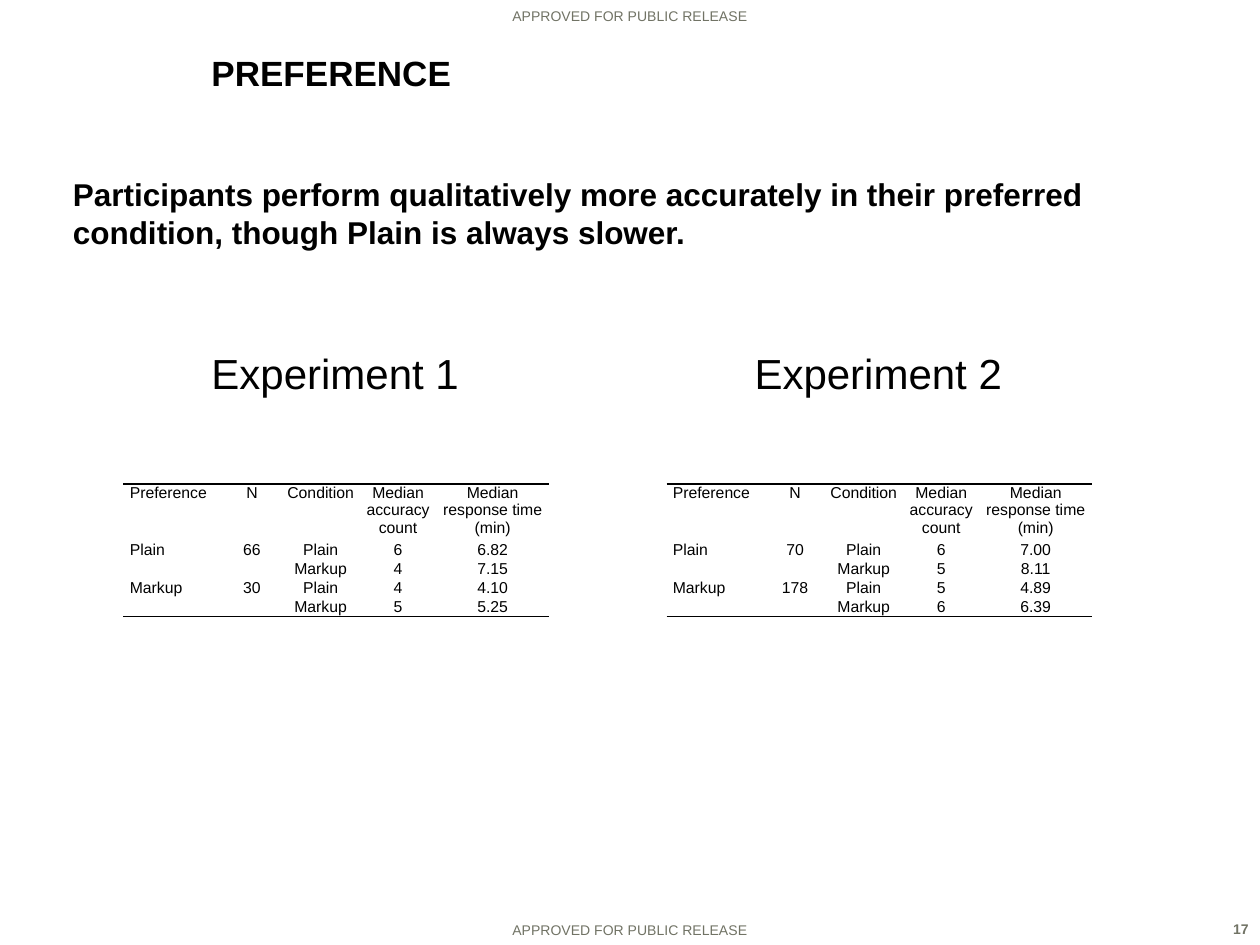
from lxml.etree import SubElement
from pptx import Presentation
from pptx.dml.color import RGBColor
from pptx.enum.text import MSO_ANCHOR, PP_ALIGN
from pptx.oxml.ns import qn
from pptx.util import Inches, Pt

deck = Presentation()
deck.slide_width, deck.slide_height = Inches(10), Inches(7.5)
column, row = deck.slide_width / 100, deck.slide_height / 100
page = deck.slides.add_slide(deck.slide_layouts[6])


def style_text(para, size, color="000000", bold=False, align=PP_ALIGN.LEFT):
    para.alignment = align
    for span in para.runs:
        span.font.name = "Arial"
        span.font.size = Pt(size)
        span.font.bold = bold
        span.font.color.rgb = RGBColor.from_string(color)


def add_text(text, left, top, width, height, size, anchor=MSO_ANCHOR.TOP, wrap=True, **style):
    box = page.shapes.add_textbox(
        int(left * column), int(top * row), int(width * column), int(height * row)
    )
    box.text_frame.text = text
    box.text_frame.word_wrap = wrap
    box.text_frame.vertical_anchor = anchor
    style_text(box.text_frame.paragraphs[0], size, **style)


for left, top, width in [(15, 96.8, 70), (0, 0, 100)]:
    add_text("APPROVED FOR PUBLIC RELEASE", left, top, width, 3.2, 8,
             anchor=MSO_ANCHOR.BOTTOM, color="717365", align=PP_ALIGN.CENTER)
add_text("17", 95.5, 96.8, 4.6, 3.2, 8, color="717365", bold=True, align=PP_ALIGN.RIGHT)
add_text("PREFERENCE", 15.8, 4, 65, 7.33, 20, anchor=MSO_ANCHOR.MIDDLE, bold=True)
add_text(
    "Participants perform qualitatively more accurately in their preferred condition, "
    "though Plain is always slower.",
    4.8, 17.87, 88.5, 68.8, 18, bold=True,
)

header = ["Preference", "N", "Condition", "Median accuracy count", "Median response time (min)"]
column_shares = [7.9, 4.6, 6.3, 6, 9]
experiments = [
    ("Experiment 1", 9.8, 2, [
        ["Plain", "66", "Plain", "6", "6.82"],
        ["", "", "Markup", "4", "7.15"],
        ["Markup", "30", "Plain", "4", "4.10"],
        ["", "", "Markup", "5", "5.25"],
    ]),
    ("Experiment 2", 52.9, 1.87, [
        ["Plain", "70", "Plain", "6", "7.00"],
        ["", "", "Markup", "5", "8.11"],
        ["Markup", "178", "Plain", "5", "4.89"],
        ["", "", "Markup", "6", "6.39"],
    ]),
]

for heading, left, line_share, results in experiments:
    add_text(heading, left + 6, 36.13, 21.9, 6.67, 24, wrap=False)
    records = [header] + results
    row_shares = [3 * line_share] + [line_share] * len(results)
    frame = page.shapes.add_table(
        len(records), len(header), int(left * column), int(51.2 * row),
        int(sum(column_shares) * column), int(sum(row_shares) * row),
    )
    table = frame.table
    table.first_row = table.horz_banding = False
    style_id = table._tbl.tblPr.find(qn("a:tableStyleId"))
    style_id.text = "{2D5ABB26-0587-4C30-8999-92F81FD0307C}"
    for table_column, share in zip(table.columns, column_shares):
        table_column.width = int(share * column)
    for row_index, (record, share) in enumerate(zip(records, row_shares)):
        table.rows[row_index].height = int(share * row)
        for column_index, text in enumerate(record):
            cell = table.cell(row_index, column_index)
            cell.margin_left = cell.margin_right = Inches(0.05)
            cell.margin_top = cell.margin_bottom = 0
            para = cell.text_frame.paragraphs[0]
            para.text = text
            style_text(para, 9, align=PP_ALIGN.CENTER if column_index else PP_ALIGN.JUSTIFY)
            if not text:
                SubElement(para._p, qn("a:endParaRPr"), sz="900")
            edge = {0: "a:lnT", len(results): "a:lnB"}.get(row_index)
            if edge:
                border = SubElement(cell._tc.get_or_add_tcPr(), qn(edge), w=str(Pt(1)))
                paint = SubElement(border, qn("a:solidFill"))
                SubElement(paint, qn("a:srgbClr"), val="000000")
            cell.fill.background()

deck.save("out.pptx")
